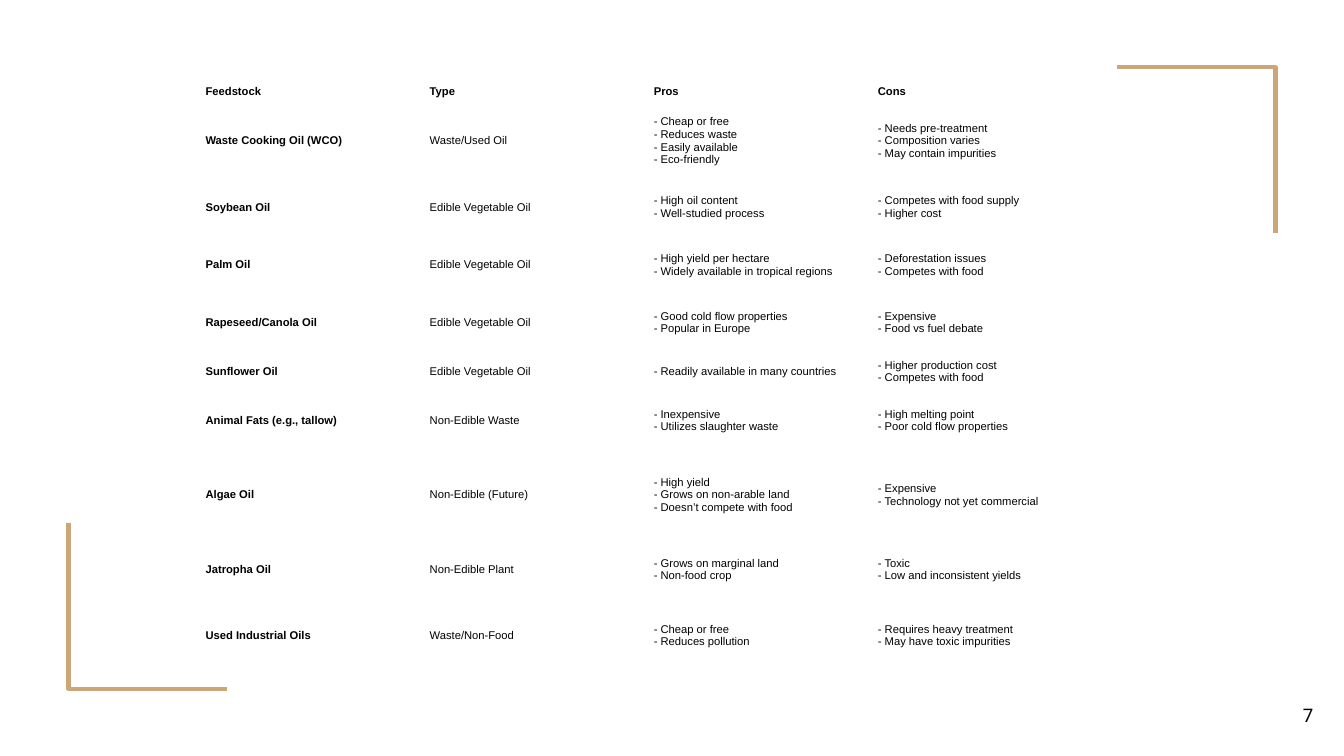
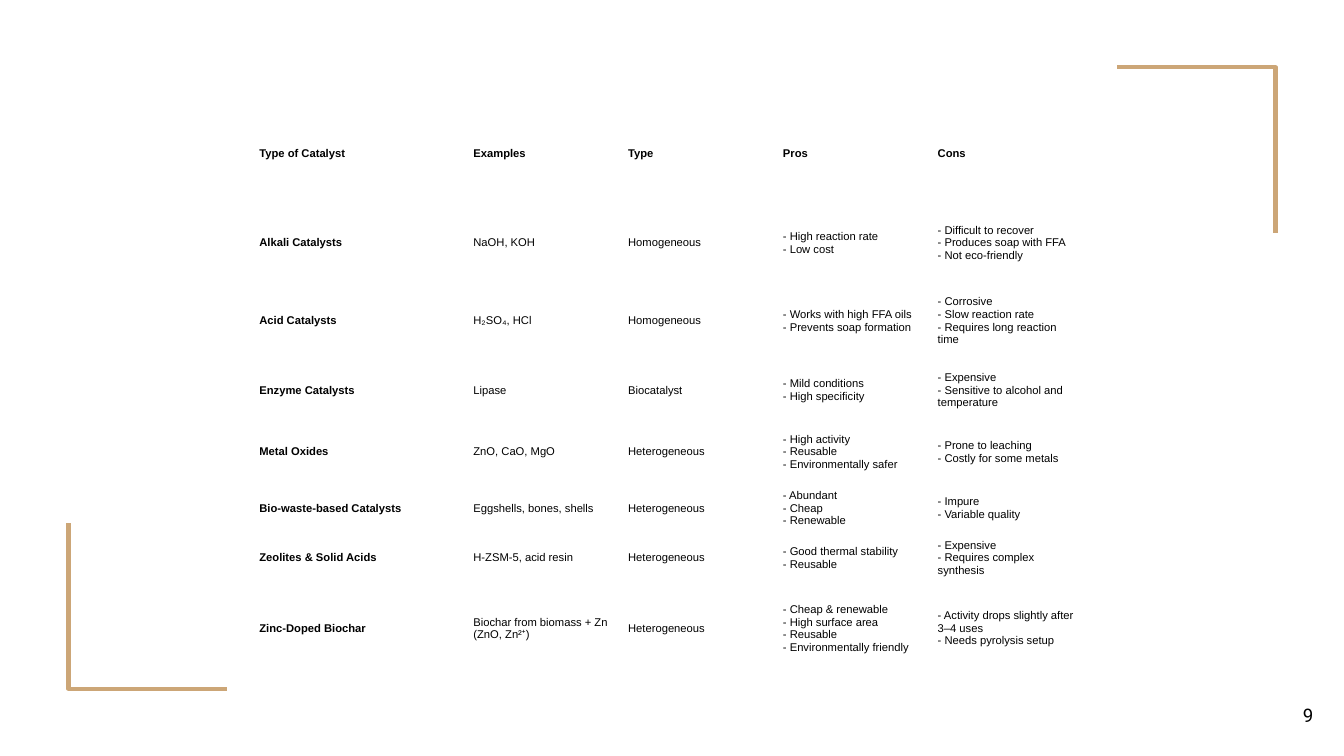
from pptx import Presentation
from pptx.dml.color import RGBColor
from pptx.enum.text import MSO_ANCHOR, PP_ALIGN
from pptx.util import Inches, Pt

MIDDLE = MSO_ANCHOR.MIDDLE
RIGHT = PP_ALIGN.RIGHT

WIDE, HIGH = Inches(10), Inches(5.625)
INK, GOLD = "000000", "CCA677"
BLANK = 6

# Boxes are left, top, width, height in percent of the slide.
FRAME = (83.1, 8.9, 11.8, 21.9)
NUMBER = (92.7, 90.7, 6, 7.7)

FEEDS = {
    "number": 7,
    "box": (14.9, 10.5, 66.7, 78.6),
    "cols": [1, 1, 1, 1],
    "rows": [18, 56, 43, 43, 43, 30, 43, 68, 43, 56],
    "pad": 0.04,
    "cells": [
        ["Feedstock", "Type", "Pros", "Cons"],
        ["Waste Cooking Oil (WCO)", "Waste/Used Oil",
         ["Cheap or free", "Reduces waste", "Easily available", "Eco-friendly"],
         ["Needs pre-treatment", "Composition varies", "May contain impurities"]],
        ["Soybean Oil", "Edible Vegetable Oil",
         ["High oil content", "Well-studied process"],
         ["Competes with food supply", "Higher cost"]],
        ["Palm Oil", "Edible Vegetable Oil",
         ["High yield per hectare", "Widely available in tropical regions"],
         ["Deforestation issues", "Competes with food"]],
        ["Rapeseed/Canola Oil", "Edible Vegetable Oil",
         ["Good cold flow properties", "Popular in Europe"],
         ["Expensive", "Food vs fuel debate"]],
        ["Sunflower Oil", "Edible Vegetable Oil",
         ["Readily available in many countries"],
         ["Higher production cost", "Competes with food"]],
        ["Animal Fats (e.g., tallow)", "Non-Edible Waste",
         ["Inexpensive", "Utilizes slaughter waste"],
         ["High melting point", "Poor cold flow properties"]],
        ["Algae Oil", "Non-Edible (Future)",
         ["High yield", "Grows on non-arable land", "Doesn’t compete with food"],
         ["Expensive", "Technology not yet commercial"]],
        ["Jatropha Oil", "Non-Edible Plant",
         ["Grows on marginal land", "Non-food crop"],
         ["Toxic", "Low and inconsistent yields"]],
        ["Used Industrial Oils", "Waste/Non-Food",
         ["Cheap or free", "Reduces pollution"],
         ["Requires heavy treatment", "May have toxic impurities"]],
    ],
}

AGENTS = {
    "number": 9,
    "box": (18.8, 13.7, 62, 75.5),
    "cols": [159, 115, 115, 115, 115],
    "rows": [75, 58, 58, 45, 47, 37, 37, 68],
    "pad": 0.05,
    "cells": [
        ["Type of Catalyst", "Examples", "Type", "Pros", "Cons"],
        ["Alkali Catalysts", "NaOH, KOH", "Homogeneous",
         ["High reaction rate", "Low cost"],
         ["Difficult to recover", "Produces soap with FFA", "Not eco-friendly"]],
        ["Acid Catalysts", "H₂SO₄, HCl", "Homogeneous",
         ["Works with high FFA oils", "Prevents soap formation"],
         ["Corrosive", "Slow reaction rate", "Requires long reaction time"]],
        ["Enzyme Catalysts", "Lipase", "Biocatalyst",
         ["Mild conditions", "High specificity"],
         ["Expensive", "Sensitive to alcohol and temperature"]],
        ["Metal Oxides", "ZnO, CaO, MgO", "Heterogeneous",
         ["High activity", "Reusable", "Environmentally safer"],
         ["Prone to leaching", "Costly for some metals"]],
        ["Bio-waste-based Catalysts", "Eggshells, bones, shells", "Heterogeneous",
         ["Abundant", "Cheap", "Renewable"],
         ["Impure", "Variable quality"]],
        ["Zeolites & Solid Acids", "H-ZSM-5, acid resin", "Heterogeneous",
         ["Good thermal stability", "Reusable"],
         ["Expensive", "Requires complex synthesis"]],
        ["Zinc-Doped Biochar", "Biochar from biomass + Zn (ZnO, Zn²⁺)", "Heterogeneous",
         ["Cheap & renewable", "High surface area", "Reusable", "Environmentally friendly"],
         ["Activity drops slightly after 3–4 uses", "Needs pyrolysis setup"]],
    ],
}


def paint(color, code):
    color.rgb = RGBColor.from_string(code)


def place(box):
    """Turn a box in percent into slide units."""
    return [int(part * side / 100) for part, side in zip(box, (WIDE, HIGH) * 2)]


def style(para, face, size, bold=False):
    font = para.font
    font.name, font.size, font.bold = face, Pt(size), bold
    paint(font.color, INK)


def add_frame(slide, box):
    """Draw two corners, each the other turned about the middle, on the layout."""
    left, top, width, height = place(box)
    right, low = left + width, top + height
    corner = [(right, low), (right, top), (left, top)]
    turned = [(WIDE - x, HIGH - y) for x, y in corner]
    for points in (corner, turned):
        path = slide.shapes.build_freeform(*points[0])
        path.add_line_segments(points[1:], close=False)
        shape = path.convert_to_shape()
        shape.shadow.inherit = False
        shape.fill.background()
        shape.line.width = Pt(2.25)
        paint(shape.line.color, GOLD)
        slide.slide_layout.shapes.element.append(shape.element)


def add_number(slide, box, number):
    frame = slide.shapes.add_textbox(*place(box)).text_frame
    frame.word_wrap = True
    frame.vertical_anchor = MIDDLE
    frame.margin_left = frame.margin_right = Inches(0.1)
    frame.margin_top = frame.margin_bottom = Inches(0.1)
    para = frame.paragraphs[0]
    para.text = str(number)
    para.alignment = RIGHT
    style(para, "Roboto", 10)


def fill_cell(cell, words, pad, bold):
    """Write plain words, or a list as dashed lines."""
    if isinstance(words, list):
        words = "\v".join(f"- {item}" for item in words)
    cell.fill.background()
    cell.vertical_anchor = MIDDLE
    cell.margin_left = cell.margin_right = Inches(pad)
    cell.margin_top = cell.margin_bottom = Inches(0.02)
    para = cell.text_frame.paragraphs[0]
    para.text = words
    style(para, "Arial", 6, bold)


def add_grid(slide, box, cols, rows, pad, cells):
    """Add a table whose columns and rows share the box by weight."""
    left, top, width, height = place(box)
    table = slide.shapes.add_table(
        len(rows), len(cols), left, top, width, height).table
    table.first_row = table.horz_banding = False
    for col, share in zip(table.columns, cols):
        col.width = int(width * share / sum(cols))
    for row, share in zip(table.rows, rows):
        row.height = int(height * share / sum(rows))
    for r, line in enumerate(cells):
        for c, words in enumerate(line):
            fill_cell(table.cell(r, c), words, pad, r == 0 or c == 0)


def add_page(deck, number, **grid):
    slide = deck.slides.add_slide(deck.slide_layouts[BLANK])
    add_number(slide, NUMBER, number)
    add_grid(slide, **grid)
    return slide


def main():
    deck = Presentation()
    deck.slide_width, deck.slide_height = WIDE, HIGH
    first = add_page(deck, **FEEDS)
    add_frame(first, FRAME)
    add_page(deck, **AGENTS)
    deck.save("out.pptx")


if __name__ == "__main__":
    main()
